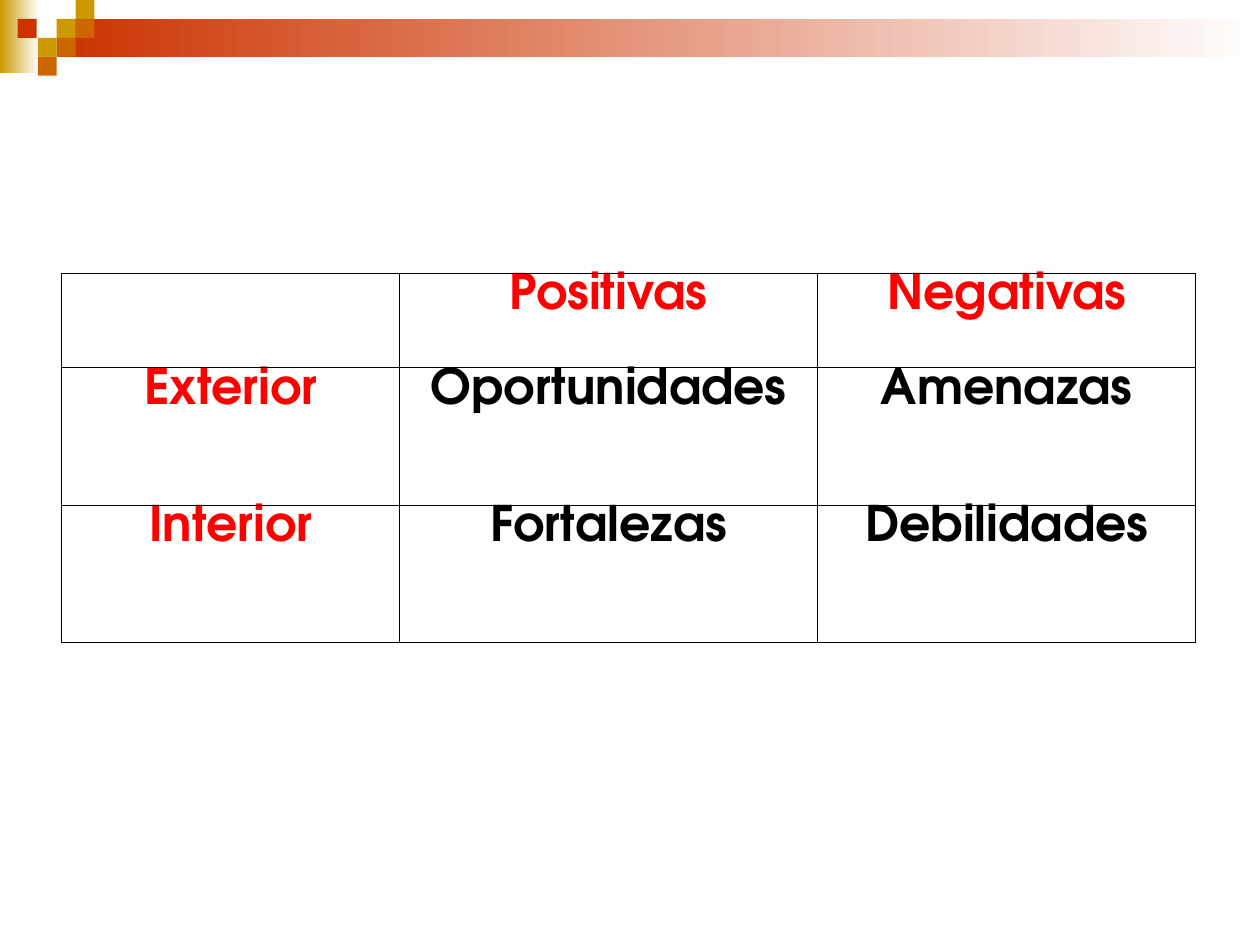
from pptx import Presentation
from pptx.dml.color import RGBColor
from pptx.enum.shapes import MSO_SHAPE
from pptx.enum.text import PP_ALIGN
from pptx.oxml import parse_xml
from pptx.oxml.ns import nsdecls
from pptx.util import Inches, Pt

FONT = "TeX Gyre Adventor"
GOLD, ORANGE, RED = "CC9900", "CC6600", "CC3300"


def color(value):
    return RGBColor.from_string(value)


def add_rect(x, y, w, h):
    s = slide.shapes.add_shape(MSO_SHAPE.RECTANGLE, Inches(x), Inches(y), Inches(w), Inches(h))
    s.shadow.inherit = False
    s.line.fill.background()
    return s


prs = Presentation()
prs.slide_width, prs.slide_height = Inches(10), Inches(7.5)
slide = prs.slides.add_slide(prs.slide_layouts[6])

# Fading bands along the top left
for x, y, w, h, start in [(0, 0, 0.31, 0.58, GOLD), (0.45, 0.15, 9.55, 0.3, RED)]:
    fill = add_rect(x, y, w, h).fill
    fill.gradient()
    fill.gradient_angle = 0
    for stop, value in zip(fill.gradient_stops, (start, "FFFFFF")):
        stop.color.rgb = color(value)

# Mosaic of small squares
SIDE = 0.15
squares = [(0.45, 0.15, GOLD), (0.6, 0, GOLD), (0.6, 0.15, ORANGE), (0.3, 0.3, GOLD),
           (0.14, 0.15, RED), (0.45, 0.3, ORANGE), (0.3, 0.45, ORANGE)]
for x, y, value in squares:
    s = add_rect(x, y, SIDE, SIDE)
    s.fill.solid()
    s.fill.fore_color.rgb = color(value)

# SWOT table
rows = [["", "Positivas", "Negativas"],
        ["Exterior", "Oportunidades", "Amenazas"],
        ["Interior", "Fortalezas", "Debilidades"]]
widths, heights = [2.68, 3.32, 3], [0.75, 1.09, 1.09]
table = slide.shapes.add_table(3, 3, Inches(0.49), Inches(2.17),
                               Inches(sum(widths)), Inches(sum(heights))).table
for col, width in zip(table.columns, widths):
    col.width = Inches(width)
for row, height in zip(table.rows, heights):
    row.height = Inches(height)

for i, texts in enumerate(rows):
    for j, text in enumerate(texts):
        cell = table.cell(i, j)
        cell.margin_top = cell.margin_bottom = 0
        # Borders come before the fill in the cell properties
        tcPr = cell._tc.get_or_add_tcPr()
        for side in ("lnL", "lnR", "lnT", "lnB"):
            tcPr.append(parse_xml(
                f'<a:{side} {nsdecls("a")} w="{Pt(0.75)}"><a:solidFill>'
                f'<a:srgbClr val="000000"/></a:solidFill></a:{side}>'))
        cell.fill.background()
        p = cell.text_frame.paragraphs[0]
        p.text = text
        p.alignment = PP_ALIGN.CENTER
        p.font.name, p.font.size, p.font.bold = FONT, Pt(28), True
        p.font.color.rgb = color("FF0000" if i == 0 or j == 0 else "000000")

prs.save("out.pptx")
